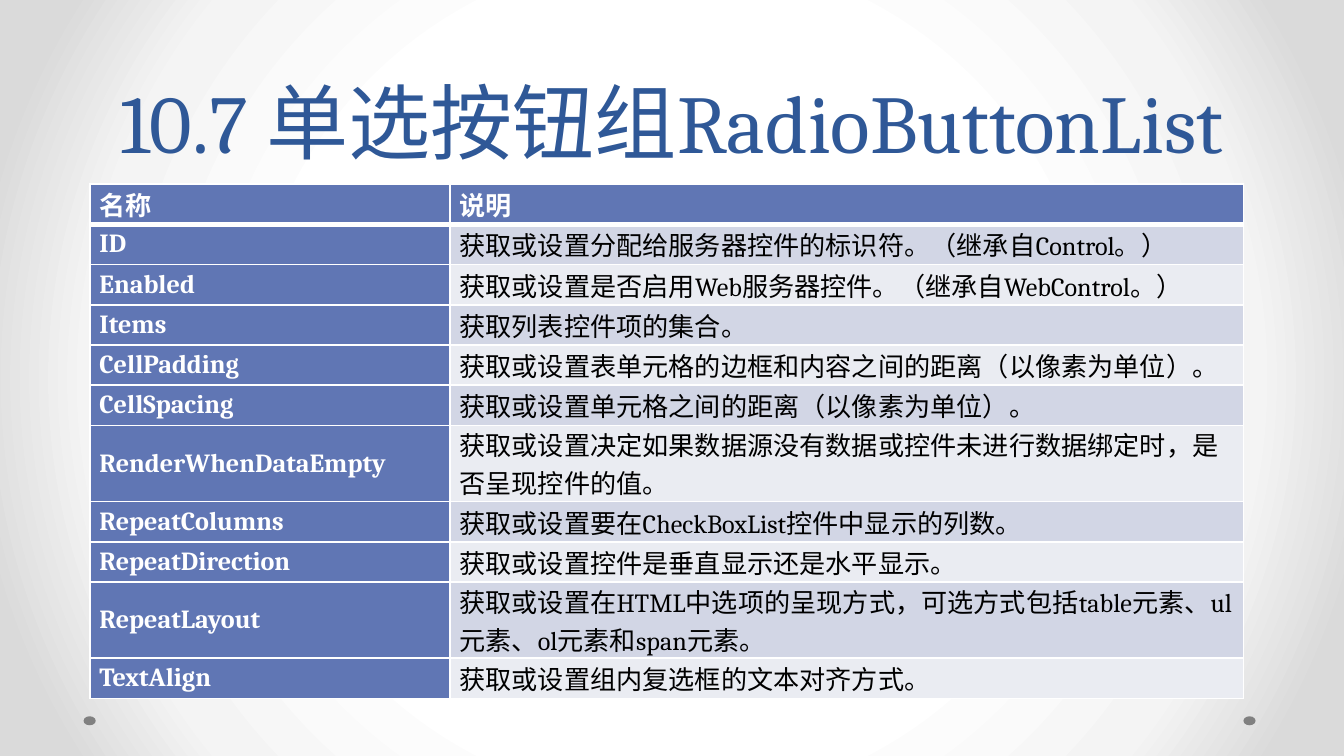
import pptx
import pptx.util
import pptx.dml.color
import pptx.enum.shapes
import pptx.enum.text
import pptx.oxml
import pptx.oxml.ns

Cm = pptx.util.Cm
Pt = pptx.util.Pt
FONT = "Cambria"
HUES = {
    "title": "2F5897", "head": "6076B4", "odd": "D2D6E5", "even": "EAECF2",
    "white": "FFFFFF", "black": "000000", "dot": "808080",
    "mist": "F4F4F4", "edge": "DADADA",
}
ROWS = [
    ("名称", "说明"),
    ("ID", "获取或设置分配给服务器控件的标识符。（继承自Control。）"),
    ("Enabled", "获取或设置是否启用Web服务器控件。（继承自WebControl。）"),
    ("Items", "获取列表控件项的集合。"),
    ("CellPadding", "获取或设置表单元格的边框和内容之间的距离（以像素为单位）。"),
    ("CellSpacing", "获取或设置单元格之间的距离（以像素为单位）。"),
    ("RenderWhenDataEmpty", "获取或设置决定如果数据源没有数据或控件未进行数据绑定时，是否呈现控件的值。"),
    ("RepeatColumns", "获取或设置要在CheckBoxList控件中显示的列数。"),
    ("RepeatDirection", "获取或设置控件是垂直显示还是水平显示。"),
    ("RepeatLayout", "获取或设置在HTML中选项的呈现方式，可选方式包括table元素、ul元素、ol元素和span元素。"),
    ("TextAlign", "获取或设置组内复选框的文本对齐方式。"),
]
TALL = (6, 9)  # rows whose text takes two lines


def rgb(name):
    return pptx.dml.color.RGBColor.from_string(HUES[name])


def add_run(para, text, size, hue, bold=False):
    run = para.add_run()
    run.text = text
    run.font.name = FONT
    run.font.size = Pt(size)
    run.font.bold = bold
    run.font.color.rgb = rgb(hue)


deck = pptx.Presentation()
deck.slide_width, deck.slide_height = Cm(25.4), Cm(14.29)
slide = deck.slides.add_slide(deck.slide_layouts[5])

# Radial background, white at the centre
fill = slide.background.fill
fill.gradient()
grad = slide.background._cSld.find(".//" + pptx.oxml.ns.qn("a:gradFill"))
stops = "".join(
    f'<a:gs pos="{pos}000"><a:srgbClr val="{HUES[hue]}"/></a:gs>'
    for pos, hue in ((50, "white"), (76, "mist"), (92, "edge"))
)
grad.getparent().replace(grad, pptx.oxml.parse_xml(
    f'<a:gradFill {pptx.oxml.ns.nsdecls("a")} rotWithShape="1">'
    f'<a:gsLst>{stops}</a:gsLst><a:path path="circle">'
    '<a:fillToRect l="50000" t="50000" r="50000" b="50000"/>'
    '</a:path></a:gradFill>'
))

# Title
title = slide.shapes.title
title.left, title.top, title.width, title.height = Cm(1.27), Cm(0), Cm(22.86), Cm(3.33)
frame = title.text_frame
frame.auto_size = pptx.enum.text.MSO_AUTO_SIZE.NONE
frame.vertical_anchor = pptx.enum.text.MSO_ANCHOR.BOTTOM
para = frame.paragraphs[0]
para.alignment = pptx.enum.text.PP_ALIGN.CENTER
para.line_spacing = Pt(58)
add_run(para, "10.7 单选按钮组RadioButtonList", 44, "title")

# Dots in the lower corners
for left in (23.5, 1.58):
    dot = slide.shapes.add_shape(
        pptx.enum.shapes.MSO_SHAPE.OVAL, Cm(left), Cm(13.54), Cm(0.23), Cm(0.17))
    dot.shadow.inherit = False
    dot.fill.solid()
    dot.fill.fore_color.rgb = rgb("dot")
    dot.line.fill.background()

# Table of properties
table = slide.shapes.add_table(
    len(ROWS), 2, Cm(1.7), Cm(3.48), Cm(21.8), Cm(9.7)).table
table.columns[0].width = Cm(6.8)
table.columns[1].width = Cm(15)
for r, texts in enumerate(ROWS):
    table.rows[r].height = Cm(1.44 if r in TALL else 0.76)
    for c, text in enumerate(texts):
        cell = table.cell(r, c)
        cell.margin_left = cell.margin_right = Cm(0.18)
        cell.margin_top = cell.margin_bottom = 0
        cell.vertical_anchor = pptx.enum.text.MSO_ANCHOR.MIDDLE
        for side in "LRTB":
            thick = (r, side) in ((0, "B"), (1, "T"))
            cell._tc.get_or_add_tcPr().append(pptx.oxml.parse_xml(
                f'<a:ln{side} {pptx.oxml.ns.nsdecls("a")} w="{Pt(3 if thick else 1)}">'
                f'<a:solidFill><a:srgbClr val="{HUES["white"]}"/></a:solidFill></a:ln{side}>'
            ))
        head = r == 0 or c == 0
        cell.fill.solid()
        cell.fill.fore_color.rgb = rgb("head" if head else "odd" if r % 2 else "even")
        add_run(cell.text_frame.paragraphs[0], text, 14, "white" if head else "black", head)

deck.save("out.pptx")
